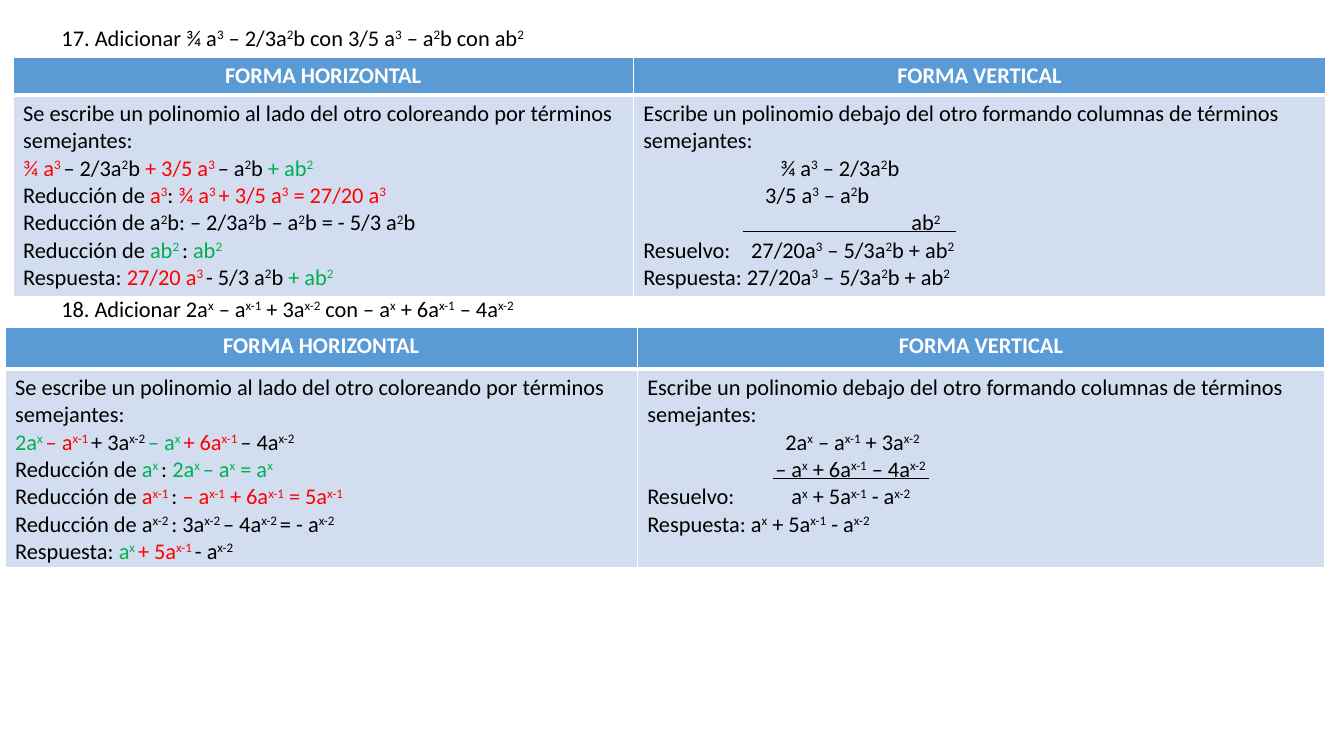
import pptx
import pptx.dml.color
import pptx.enum.shapes
import pptx.enum.text
import pptx.oxml
import pptx.oxml.ns
import pptx.util

Inches = pptx.util.Inches
Pt = pptx.util.Pt

COLORS = {"k": "000000", "r": "FF0000", "g": "00B050", "w": "FFFFFF",
          "header": "5B9BD5", "body": "D2DEEF"}
HEADERS = ["FORMA HORIZONTAL", "FORMA VERTICAL"]
SIDE = "k:Se escribe un polinomio al lado del otro coloreando por términos semejantes:"
BELOW = "k:Escribe un polinomio debajo del otro formando columnas de términos semejantes:"

# Markup
TITLE_17 = "k:17. Adicionar ¾ a^3^ – 2/3a^2^b con 3/5 a^3^ – a^2^b con ab^2^"
TITLE_18 = "k:18. Adicionar 2a^x^ – a^x-1^ + 3a^x-2^ con – a^x^ + 6a^x-1^ – 4a^x-2^"

EXERCISES = [
    {"at": (0.13, 0.57), "cols": (6.15, 6.87), "rows": (0.37, 2.0),
     "horizontal": [
         (0, SIDE),
         (0, "r:¾ a^3 ^|k:– 2/3a^2^b |r:+ 3/5 a^3 ^|k:– a^2^b |g:+ ab^2^"),
         (0, "k:Reducción de |r:a^3^|k:: |r:¾ a^3 ^+ 3/5 a^3^ = 27/20 a^3^"),
         (0, "k:Reducción de a^2^b: – 2/3a^2^b – a^2^b = - 5/3 a^2^b"),
         (0, "k:Reducción de |g:ab^2 ^|k:: |g:ab^2^"),
         (0, "k:Respuesta: |r:27/20 a^3 ^|k:- 5/3 a^2^b |g:+ ab^2^")],
     "vertical": [
         (0, BELOW),
         (1.36, "k:¾ a^3^ – 2/3a^2^b"),
         (1.21, "k:3/5 a^3^ – a^2^b"),
         (2.66, "k:ab^2^"),
         (1.07, "k:Resuelvo:\t27/20a^3^ – 5/3a^2^b + ab^2^"),
         (0, "k:Respuesta: 27/20a^3^ – 5/3a^2^b + ab^2^")],
     "sum_line": (7.37, 9.48, 2.3)},
    {"at": (0.05, 3.25), "cols": (6.27, 6.82), "rows": (0.41, 1.96),
     "horizontal": [
         (0, SIDE),
         (0, "g:2a^x ^|r:– a^x-1 ^|k:+ 3a^x-2 ^|g:– a^x ^|r:+ 6a^x-1 ^|k:– 4a^x-2^"),
         (0, "k:Reducción de |g:a^x ^|k:: |g:2a^x ^– a^x^ = a^x^"),
         (0, "k:Reducción de |r:a^x-1 ^|k:: |r:– a^x-1^ + 6a^x-1^ = 5a^x-1^"),
         (0, "k:Reducción de a^x-2 ^: 3a^x-2 ^– 4a^x-2 ^= - a^x-2^"),
         (0, "k:Respuesta: |g:a^x ^|r:+ 5a^x-1 ^|k:- a^x-2^")],
     "vertical": [
         (0, BELOW),
         (1.37, "k:2a^x^ – a^x-1^ + 3a^x-2^"),
         (1.27, "k:– a^x^ + 6a^x-1^ – 4a^x-2^"),
         (1.43, "k:Resuelvo:\ta^x^ + 5a^x-1^ - a^x-2^"),
         (0, "k:Respuesta: a^x^ + 5a^x-1^ - a^x-2^")],
     "sum_line": (7.67, 9.21, 4.75)},
]


def rgb(key):
    return pptx.dml.color.RGBColor.from_string(COLORS[key])


def add_xml(parent, tag, **attrs):
    el = pptx.oxml.parse_xml(f"<a:{tag} {pptx.oxml.ns.nsdecls('a')}/>")
    for name, value in attrs.items():
        el.set(name, str(value))
    parent.append(el)
    return el


def write_math(p, text, bold=False):
    for segment in text.split("|"):
        color, _, words = segment.partition(":")
        for i, part in enumerate(words.split("^")):
            if not part:
                continue
            r = p.add_run()
            r.text = part
            for name, value in {"name": "Calibri", "size": Pt(16), "bold": bold}.items():
                setattr(r.font, name, value)
            r.font.color.rgb = rgb(color)
            if i % 2:
                r._r.get_or_add_rPr().set("baseline", "30000")


def write_lines(tf, lines):
    for i, (indent, text) in enumerate(lines):
        p = tf.paragraphs[0] if i == 0 else tf.add_paragraph()
        pPr = p._p.get_or_add_pPr()
        if "\t" in text:
            add_xml(add_xml(pPr, "tabLst"), "tab", pos=Inches(indent), algn="l")
        elif indent:
            pPr.set("marL", str(Inches(indent)))
        write_math(p, text)


def format_cell(cell, fill, top, bottom):
    tcPr = cell._tc.get_or_add_tcPr()
    for side, width in {"lnL": 1, "lnR": 1, "lnT": top, "lnB": bottom}.items():
        ln = add_xml(tcPr, side, w=Pt(width))
        add_xml(add_xml(ln, "solidFill"), "srgbClr", val=COLORS["w"])
    cell.fill.solid()
    cell.fill.fore_color.rgb = rgb(fill)


def add_exercise(s, ex):
    cols, rows = ex["cols"], ex["rows"]
    box = [Inches(v) for v in (*ex["at"], sum(cols), sum(rows))]
    table = s.shapes.add_table(2, 2, *box).table
    for row, height in zip(table.rows, rows):
        row.height = Inches(height)
    for c, width in enumerate(cols):
        table.columns[c].width = Inches(width)
        head, body = table.cell(0, c), table.cell(1, c)
        format_cell(head, "header", 1, 3)
        format_cell(body, "body", 3, 1)
        p = head.text_frame.paragraphs[0]
        p.alignment = pptx.enum.text.PP_ALIGN.CENTER
        write_math(p, "w:" + HEADERS[c], bold=True)
        write_lines(body.text_frame, ex[("horizontal", "vertical")[c]])


def add_sum_line(s, x1, x2, y):
    ends = [Inches(v) for v in (x1, y, x2, y)]
    line = s.shapes.add_connector(pptx.enum.shapes.MSO_CONNECTOR.STRAIGHT, *ends)
    line.line.color.rgb = rgb("k")
    line.line.width = Pt(0.5)
    add_xml(line._element.spPr, "effectLst")


def main():
    prs = pptx.Presentation()
    prs.slide_width, prs.slide_height = Inches(13.33), Inches(7.5)
    s = prs.slides.add_slide(prs.slide_layouts[1])
    title = s.shapes.title._element
    title.getparent().remove(title)

    body = s.placeholders[1]
    place = {"left": 0.51, "top": 0.22, "width": 11.5, "height": 0.35}
    for name, value in place.items():
        setattr(body, name, Inches(value))
    tf = body.text_frame
    tf.auto_size = pptx.enum.text.MSO_AUTO_SIZE.NONE
    p = tf.paragraphs[0]
    p.line_spacing, p.space_before = 0.9, Pt(0)
    pPr = p._p.get_or_add_pPr()
    pPr.set("marL", "0")
    pPr.set("indent", "0")
    add_xml(pPr, "buNone")
    write_math(p, TITLE_17)

    add_exercise(s, EXERCISES[0])
    sp = s.shapes.add_textbox(Inches(0.51), Inches(2.88), Inches(7.97), Inches(0.37))
    sp.text_frame.word_wrap = True
    write_math(sp.text_frame.paragraphs[0], TITLE_18)
    add_exercise(s, EXERCISES[1])
    for ex in EXERCISES:
        add_sum_line(s, *ex["sum_line"])
    prs.save("out.pptx")


if __name__ == "__main__":
    main()
